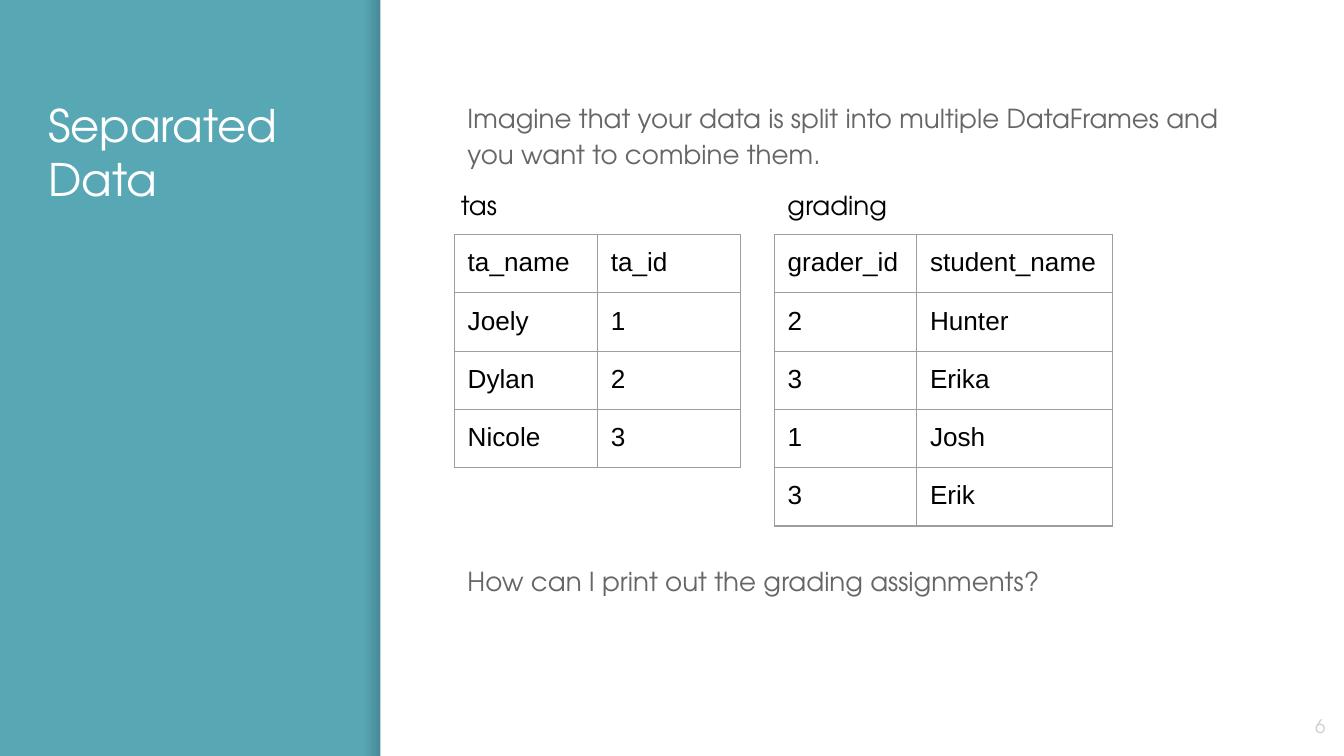
from lxml.etree import SubElement
from pptx import Presentation
from pptx.dml.color import RGBColor
from pptx.enum.shapes import MSO_SHAPE
from pptx.enum.text import MSO_ANCHOR, PP_ALIGN
from pptx.oxml.ns import qn
from pptx.util import Pt

PX = 4572  # EMU per px, 200 px to the inch
WIDTH, HEIGHT = 2000, 1125
INSET = 20
SIDEBAR_WIDTH, SHADE_WIDTH = 566, 24
ROW_HEIGHT = 84

TEAL = RGBColor(0x57, 0xA7, 0xB5)
NAVY = RGBColor(0x00, 0x00, 0x14)
WHITE = RGBColor(0xFF, 0xFF, 0xFF)
BLACK = RGBColor(0x00, 0x00, 0x00)
GRAY = RGBColor(0x66, 0x66, 0x66)
PALE_GRAY = RGBColor(0xCC, 0xCC, 0xCC)
BORDER_HEX = "9E9E9E"

HEADING_FONT = "TeX Gyre Adventor"
TABLE_FONT = "Arial"

TAS = [("ta_name", "ta_id"), ("Joely", "1"), ("Dylan", "2"), ("Nicole", "3")]
GRADING = [("grader_id", "student_name"), ("2", "Hunter"), ("3", "Erika"),
           ("1", "Josh"), ("3", "Erik")]


def emu(*lengths):
    return [length * PX for length in lengths]


def set_insets(holder):
    holder.margin_left = holder.margin_right = INSET * PX
    holder.margin_top = holder.margin_bottom = INSET * PX


def style(paragraph, size, color, font=HEADING_FONT):
    paragraph.font.size = Pt(size)
    paragraph.font.name = font
    paragraph.font.color.rgb = color


def add_text(slide, box, lines, size, color):
    frame = slide.shapes.add_textbox(*emu(*box)).text_frame
    frame.word_wrap = True
    set_insets(frame)
    frame.text = "\n".join(lines)
    for paragraph in frame.paragraphs:
        style(paragraph, size, color)
    return frame


def add_panel(slide, box):
    panel = slide.shapes.add_shape(MSO_SHAPE.RECTANGLE, *emu(*box))
    panel.shadow.inherit = False
    panel.line.fill.background()
    return panel


def add_sidebar(slide, left, top, width, height):
    # Soft shade along the right edge, clear to dark
    shade = add_panel(slide, (left + width - SHADE_WIDTH, top, SHADE_WIDTH, height))
    shade.fill.gradient()
    shade.fill.gradient_angle = 0
    for stop, alpha in zip(shade.fill.gradient_stops, (0, 20000)):
        stop.color.rgb = NAVY
    for color, alpha in zip(shade._element.spPr.iter(qn("a:srgbClr")), (0, 20000)):
        SubElement(color, qn("a:alpha"), val=str(alpha))

    # White content area beside the sidebar
    content = add_panel(slide, (left + width, top, WIDTH - left - width, height))
    content.fill.solid()
    content.fill.fore_color.rgb = WHITE

    # Title
    add_text(slide, (left + 52, top + 126, 448, 870), ["Separated Data"], 24, WHITE)


def add_explanation(slide, left, top, width, height):
    lines = ["Imagine that your data is split into multiple DataFrames and "
             "you want to combine them.",
             "How can I print out the grading assignments?"]
    frame = add_text(slide, (left, top, width, height), lines, 14, GRAY)
    for paragraph in frame.paragraphs:
        paragraph.line_spacing = 1.15
    frame.paragraphs[1].space_before = Pt(209)  # room for the tables


def add_cell_borders(cell):
    properties = cell._tc.get_or_add_tcPr()
    for position, side in enumerate(("a:lnL", "a:lnR", "a:lnT", "a:lnB")):
        line = properties.makeelement(qn(side), {"w": str(Pt(0.75))})
        fill = SubElement(line, qn("a:solidFill"))
        SubElement(fill, qn("a:srgbClr"), val=BORDER_HEX)
        properties.insert(position, line)


def add_data_table(slide, left, top, column_widths, records):
    box = (left, top, sum(column_widths), ROW_HEIGHT * len(records))
    table = slide.shapes.add_table(len(records), len(column_widths), *emu(*box)).table
    table.first_row = table.horz_banding = False
    for column, width in zip(table.columns, column_widths):
        column.width = width * PX
    for row, record in zip(table.rows, records):
        for cell, value in zip(row.cells, record):
            cell.text = value
            set_insets(cell)
            style(cell.text_frame.paragraphs[0], 14, BLACK, TABLE_FONT)
            cell.fill.background()
            add_cell_borders(cell)


def add_page_number(slide, left, top, width, height):
    frame = add_text(slide, (left, top, width, height), ["6"], 10, PALE_GRAY)
    frame.vertical_anchor = MSO_ANCHOR.MIDDLE
    frame.paragraphs[0].alignment = PP_ALIGN.RIGHT


def main():
    deck = Presentation()
    deck.slide_width, deck.slide_height = emu(WIDTH, HEIGHT)
    slide = deck.slides.add_slide(deck.slide_layouts[6])
    slide.background.fill.solid()
    slide.background.fill.fore_color.rgb = TEAL

    add_sidebar(slide, 0, 0, SIDEBAR_WIDTH, HEIGHT)
    add_explanation(slide, 676, 126, 1224, 870)
    add_page_number(slide, 1872, 1038, 120, 86)

    # The two DataFrames, then their names above them
    add_data_table(slide, 676, 349, (213, 213), TAS)
    add_data_table(slide, 1152, 349, (212, 292), GRADING)
    for name, left in (("tas", 666), ("grading", 1152)):
        add_text(slide, (left, 262, 436, 128), [name], 14, BLACK)

    deck.save("out.pptx")


if __name__ == "__main__":
    main()
